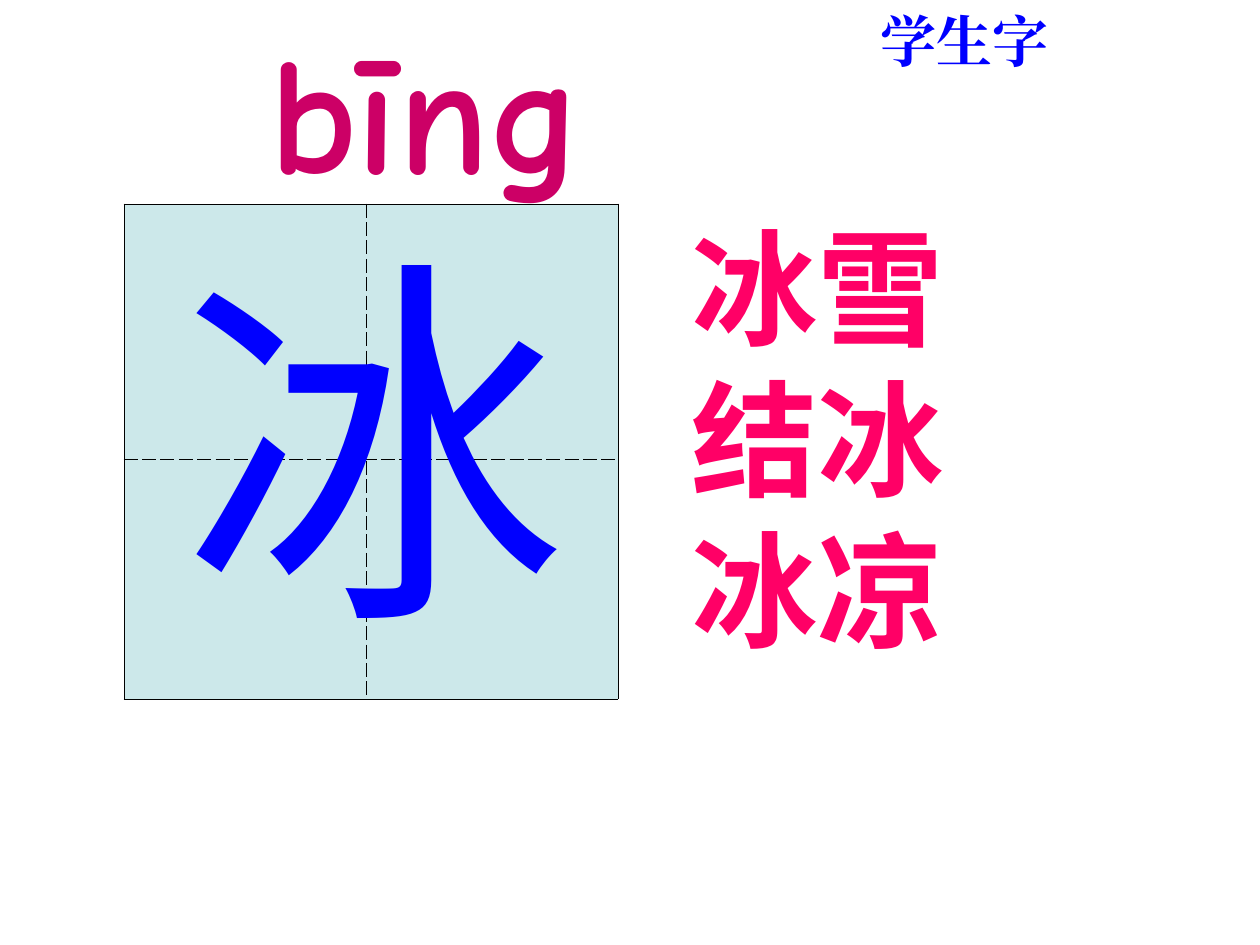
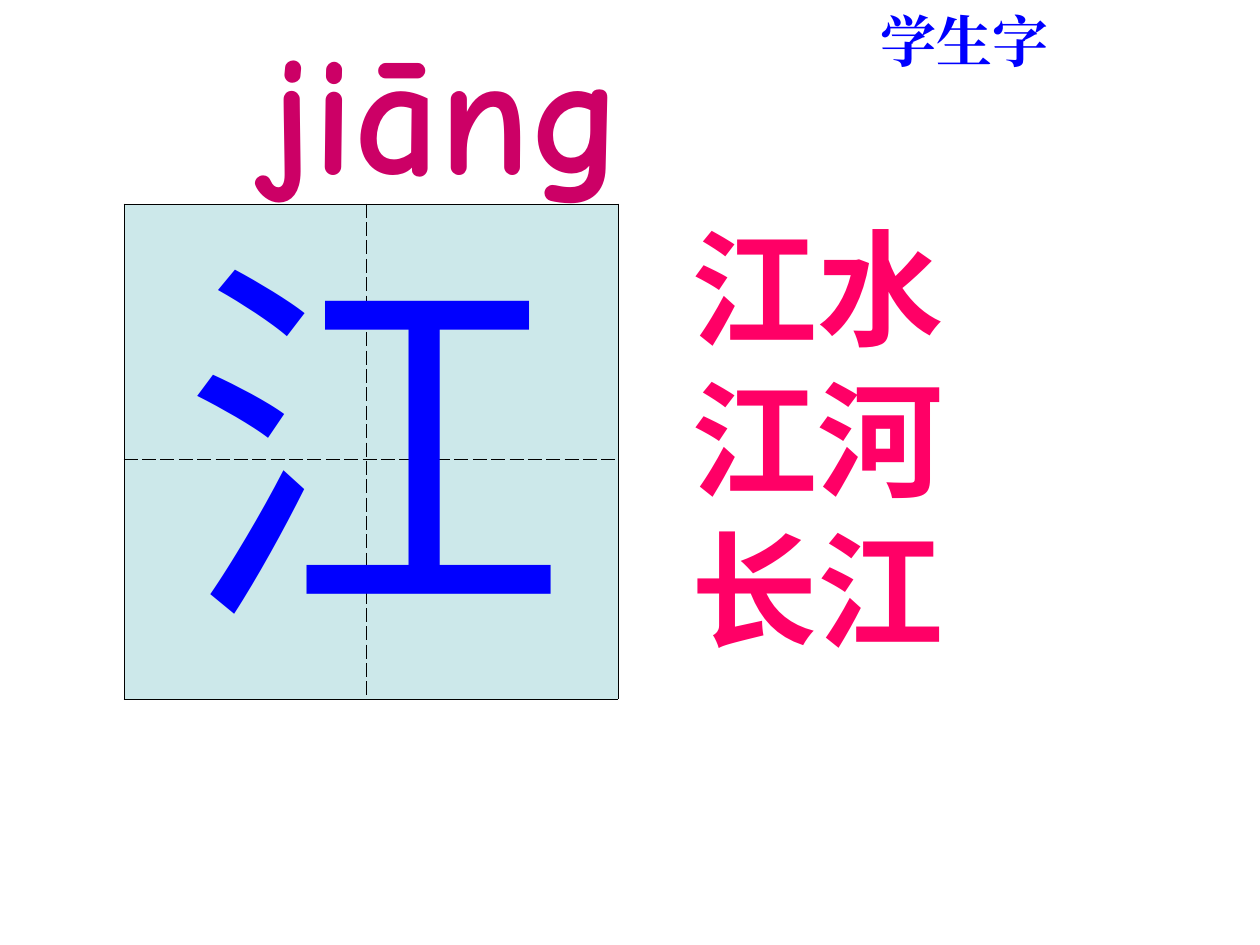
import pptx
import pptx.dml.color
import pptx.enum.text
import pptx.oxml
import pptx.oxml.ns
import pptx.util

EMU_PER_PX = 914400 / 126
COLORS = {
    "grid": "CCE8EA",
    "border": "000000",
    "pinyin": "CC0066",
    "character": "0000FF",
    "words": "FF0066",
}
LESSONS = [
    ("bīng", "冰", ["冰雪", "结冰", "冰凉"]),
    ("jiāng", "江", ["江水", "江河", "长江"]),
]


def px(value):
    return pptx.util.Emu(round(value * EMU_PER_PX))


def rgb(name):
    return pptx.dml.color.RGBColor.from_string(COLORS[name])


def add_text(p, text, size, font, color, bold=False, leading=None):
    r = p.add_run()
    r.text = text
    r.font.size = pptx.util.Pt(size)
    r.font.name = font
    r.font.bold = bold
    r.font.color.rgb = rgb(color)
    ea = pptx.oxml.parse_xml(
        f'<a:ea {pptx.oxml.ns.nsdecls("a")} typeface="{font}"/>'
    )
    r.font._element.append(ea)
    if leading:
        p.line_spacing = pptx.util.Pt(size * leading)


class Deck:
    def __init__(self):
        self.prs = pptx.Presentation()
        self.prs.slide_width = px(1260)
        self.prs.slide_height = px(945)
        self.s = None

    def new_slide(self):
        self.s = self.prs.slides.add_slide(self.prs.slide_layouts[6])

    def text_box(self, box, lines, wrap=True, **style):
        tf = self.s.shapes.add_textbox(*map(px, box)).text_frame
        tf.word_wrap = wrap
        tf.auto_size = pptx.enum.text.MSO_AUTO_SIZE.SHAPE_TO_FIT_TEXT
        for i, line in enumerate(lines):
            p = tf.add_paragraph() if i else tf.paragraphs[0]
            add_text(p, line, **style)

    def border(self, cell, index, side, dash):
        ln = pptx.oxml.parse_xml(
            f'<a:ln{side} {pptx.oxml.ns.nsdecls("a")} w="5715">'
            f'<a:solidFill><a:srgbClr val="{COLORS["border"]}"/></a:solidFill>'
            f'<a:prstDash val="{dash}"/></a:ln{side}>'
        )
        cell._tc.get_or_add_tcPr().insert(index, ln)

    def writing_grid(self, left, top, widths, heights):
        box = (left, top, sum(widths), sum(heights))
        table = self.s.shapes.add_table(
            len(heights), len(widths), *map(px, box)
        ).table
        table.first_row = False
        table.horz_banding = False
        for column, width in zip(table.columns, widths):
            column.width = px(width)
        for row, height in zip(table.rows, heights):
            row.height = px(height)
        for i in range(len(heights)):
            for j in range(len(widths)):
                cell = table.cell(i, j)
                cell.fill.solid()
                cell.fill.fore_color.rgb = rgb("grid")
                outer = {
                    "L": j == 0,
                    "R": j == len(widths) - 1,
                    "T": i == 0,
                    "B": i == len(heights) - 1,
                }
                for index, (side, is_outer) in enumerate(outer.items()):
                    self.border(cell, index, side, "solid" if is_outer else "dash")

    def lesson(self, pinyin, character, words):
        self.new_slide()
        self.writing_grid(124, 204, (242, 252), (255, 240))
        self.text_box((257, 0, 473, 214), [pinyin], size=96,
                      font="Comic Neue", color="pinyin", bold=True)
        self.text_box((169, 197, 410, 475), [character], wrap=False, size=220,
                      font="Arial", color="character", leading=1.2)
        self.text_box((679, 204, 536, 466), words, size=72,
                      font="Arial", color="words", bold=True, leading=1.2)
        self.text_box((868, 0, 193, 81), ["学生字"], wrap=False, size=32,
                      font="Times New Roman", color="character", bold=True,
                      leading=1.2)


def main():
    deck = Deck()
    for lesson in LESSONS:
        deck.lesson(*lesson)
    deck.prs.save("out.pptx")


if __name__ == "__main__":
    main()
